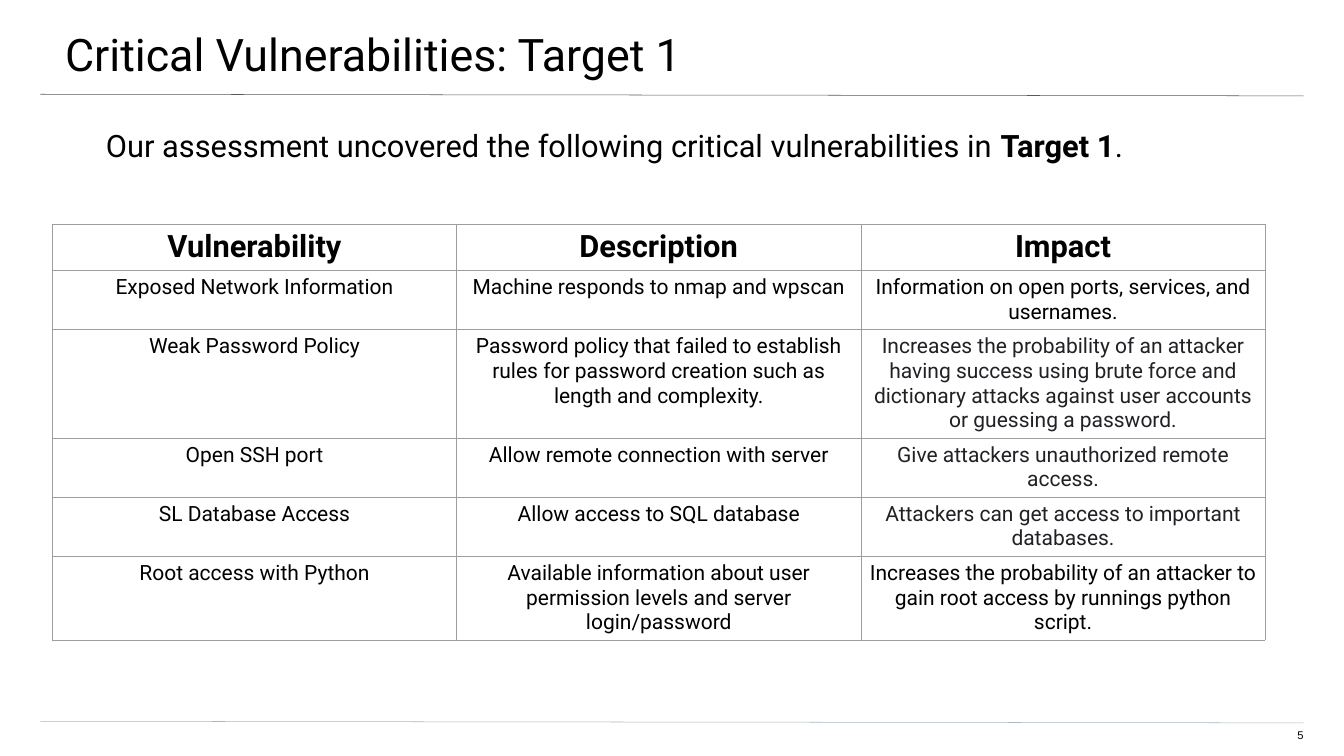
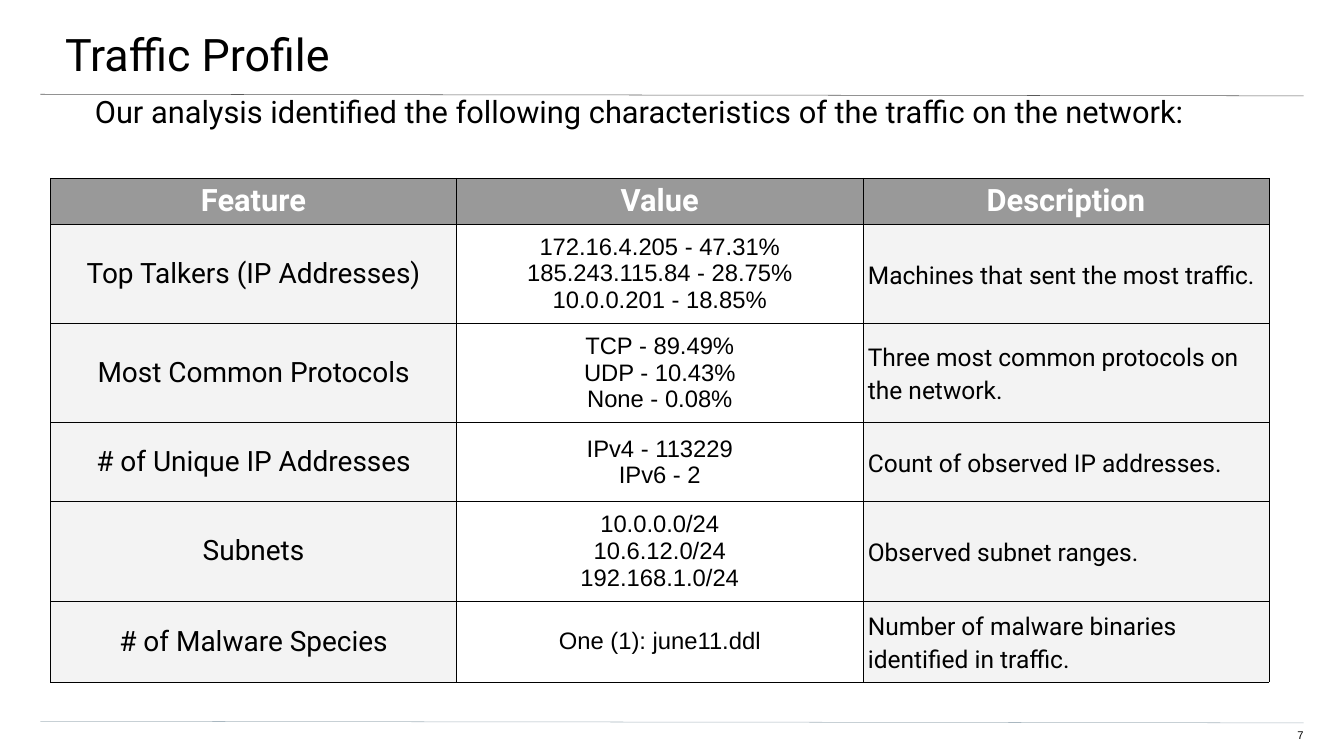
from dataclasses import dataclass, field, replace
from typing import Optional

import pptx
import pptx.dml.color
import pptx.enum.shapes
import pptx.enum.text
import pptx.oxml
import pptx.oxml.ns
import pptx.util
from pptx.util import Cm

ALIGN = pptx.enum.text.PP_ALIGN
ANCHOR = pptx.enum.text.MSO_ANCHOR
BLACK, WHITE, CHARCOAL = "000000", "FFFFFF", "202124"
HEADER_GREY, PALE_GREY, BORDER_GREY = "999999", "F3F3F3", "9E9E9E"
TITLE_RULE, FOOTER_RULE = "595959", "A9B7C0"
MAIN_FONT, PLAIN_FONT = "Roboto", "Arial"
RULE_WIDTH = 0.75


@dataclass(frozen=True)
class TextStyle:
    size: float
    font: str = MAIN_FONT
    color: str = BLACK
    bold: bool = False
    align: ALIGN = ALIGN.LEFT
    line_spacing: float = 1.0
    space_after: float = 0


@dataclass(frozen=True)
class CellStyle:
    text: TextStyle
    fill: Optional[str] = None
    anchor: ANCHOR = ANCHOR.TOP


@dataclass(frozen=True)
class Rule:
    top: float
    color: str


@dataclass(frozen=True)
class TableSpec:
    """Lengths are in centimetres; special maps (row, column) to a cell style."""
    left: float
    top: float
    column_width: float
    row_heights: list[float]
    border: str
    header: CellStyle
    columns: list[CellStyle]
    rows: list[list[str]]
    special: dict[tuple[int, int], CellStyle] = field(default_factory=dict)


@dataclass(frozen=True)
class PageSpec:
    title: str
    number: str
    intro: list[tuple[str, bool]]
    intro_box: tuple[float, float, float, float]
    intro_style: TextStyle
    table: TableSpec


RULES = [Rule(4.75, TITLE_RULE), Rule(36.35, FOOTER_RULE)]
TITLE_STYLE = TextStyle(64)
INTRO_STYLE = TextStyle(44)
NUMBER_STYLE = TextStyle(16, PLAIN_FONT, align=ALIGN.RIGHT)
HEADING = TextStyle(44, bold=True, align=ALIGN.CENTER)

FINDING = CellStyle(TextStyle(30, align=ALIGN.CENTER))
DARK_FINDING = replace(FINDING, text=replace(FINDING.text, color=CHARCOAL))
VULNERABILITIES = TableSpec(
    2.64, 11.3, 20.37, [1.07] * 6, BORDER_GREY, CellStyle(HEADING), [FINDING] * 3,
    [
        ["Vulnerability", "Description", "Impact"],
        ["Exposed Network Information", "Machine responds to nmap and wpscan",
         "Information on open ports, services, and usernames."],
        ["Weak Password Policy",
         "Password policy that failed to establish rules for password creation "
         "such as length and complexity.",
         "Increases the probability of an attacker having success using brute force "
         "and dictionary attacks against user accounts or guessing a password."],
        ["Open SSH port", "Allow remote connection with server",
         "Give attackers unauthorized remote access."],
        ["SL Database Access", "Allow access to SQL database",
         "Attackers can get access to important databases."],
        ["Root access with Python",
         "Available information about user permission levels and server login/password",
         "Increases the probability of an attacker to gain root access by runnings "
         "python script."],
    ],
    {(row, 2): DARK_FINDING for row in (2, 3, 4)},
)

TRAFFIC = TableSpec(
    2.54, 8.97, 20.47, [2.26, 5, 5, 3.99, 5, 4.09], BLACK,
    CellStyle(replace(HEADING, color=WHITE), HEADER_GREY, ANCHOR.MIDDLE),
    [
        CellStyle(TextStyle(40, align=ALIGN.CENTER), PALE_GREY, ANCHOR.MIDDLE),
        CellStyle(TextStyle(34, PLAIN_FONT, align=ALIGN.CENTER), None, ANCHOR.MIDDLE),
        CellStyle(TextStyle(35, line_spacing=1.15, space_after=10), PALE_GREY, ANCHOR.MIDDLE),
    ],
    [
        ["Feature", "Value", "Description"],
        ["Top Talkers (IP Addresses)",
         "172.16.4.205 - 47.31%\n185.243.115.84 - 28.75%\n10.0.0.201 - 18.85%",
         "Machines that sent the most traffic."],
        ["Most Common Protocols", "TCP - 89.49%\nUDP - 10.43%\nNone - 0.08%",
         "Three most common protocols on the network."],
        ["# of Unique IP Addresses", "IPv4 - 113229\nIPv6 - 2",
         "Count of observed IP addresses."],
        ["Subnets", "10.0.0.0/24\n10.6.12.0/24\n192.168.1.0/24",
         "Observed subnet ranges."],
        ["# of Malware Species", "One (1): june11.ddl",
         "Number of malware binaries identified in traffic."],
    ],
)

PAGES = [
    PageSpec(
        "Critical Vulnerabilities: Target 1", "5",
        [("Our assessment uncovered the following critical vulnerabilities in ", False),
         ("Target 1", True), (".", False)],
        (1.96, 6.38, 63.73, 27.41), INTRO_STYLE, VULNERABILITIES,
    ),
    PageSpec(
        "Traffic Profile", "7",
        [("Our analysis identified the following characteristics of the traffic "
          "on the network:", False)],
        (1.4, 5.44, 63.73, 5.28), replace(INTRO_STYLE, space_after=12), TRAFFIC,
    ),
]


def rgb(color: str) -> pptx.dml.color.RGBColor:
    return pptx.dml.color.RGBColor.from_string(color)


def add_element(parent, tag: str, **attributes: str):
    element = pptx.oxml.parse_xml(f"<{tag} {pptx.oxml.ns.nsdecls('a')}/>")
    for name, value in attributes.items():
        element.set(name, value)
    parent.append(element)
    return element


def format_paragraph(para, style: TextStyle) -> None:
    para.alignment = style.align
    para.line_spacing = style.line_spacing
    para.space_before = pptx.util.Pt(0)
    para.space_after = pptx.util.Pt(style.space_after)


def add_run(para, text: str, style: TextStyle) -> None:
    span = para.add_run()
    span.text = text
    span.font.name = style.font
    span.font.size = pptx.util.Pt(style.size)
    span.font.bold = style.bold
    span.font.color.rgb = rgb(style.color)


def fill_box(box, place: tuple[float, ...], margins: tuple[float, ...],
             spans: list[tuple[str, bool]], style: TextStyle) -> None:
    """Place a text shape, set its margins and write one paragraph in it."""
    box.left, box.top, box.width, box.height = (Cm(length) for length in place)
    frame = box.text_frame
    frame.word_wrap = True
    frame.auto_size = pptx.enum.text.MSO_AUTO_SIZE.NONE
    frame.vertical_anchor = ANCHOR.TOP
    (frame.margin_left, frame.margin_top,
     frame.margin_right, frame.margin_bottom) = (Cm(length) for length in margins)
    para = frame.paragraphs[0]
    format_paragraph(para, style)
    for text, bold in spans:
        add_run(para, text, replace(style, bold=bold))


def remove_bullet(para) -> None:
    properties = para._p.get_or_add_pPr()
    properties.set("marL", "0")
    properties.set("indent", "0")
    add_element(properties, "a:buNone")


def add_rule(page, rule: Rule) -> None:
    line = page.shapes.add_connector(
        pptx.enum.shapes.MSO_CONNECTOR.STRAIGHT,
        Cm(2.03), Cm(rule.top), Cm(65.68), Cm(rule.top + 0.08))
    line.line.color.rgb = rgb(rule.color)
    line.line.width = pptx.util.Pt(RULE_WIDTH)
    add_element(line._element.spPr, "a:effectLst")


def add_borders(cell, color: str) -> None:
    properties = cell._tc.get_or_add_tcPr()
    for side in ("a:lnL", "a:lnR", "a:lnT", "a:lnB"):
        border = add_element(properties, side, w=str(pptx.util.Pt(RULE_WIDTH)))
        add_element(add_element(border, "a:solidFill"), "a:srgbClr", val=color)


def fill_cell(cell, text: str, style: CellStyle, border: str) -> None:
    add_borders(cell, border)
    if style.fill:
        cell.fill.solid()
        cell.fill.fore_color.rgb = rgb(style.fill)
    else:
        cell.fill.background()
    cell.margin_left = cell.margin_right = Cm(0.25)
    cell.margin_top = cell.margin_bottom = Cm(0.25)
    cell.vertical_anchor = style.anchor
    for index, line in enumerate(text.split("\n")):
        frame = cell.text_frame
        para = frame.add_paragraph() if index else frame.paragraphs[0]
        format_paragraph(para, style.text)
        add_run(para, line, style.text)


def add_grid(page, spec: TableSpec) -> None:
    grid = page.shapes.add_table(
        len(spec.rows), len(spec.columns), Cm(spec.left), Cm(spec.top),
        Cm(spec.column_width * len(spec.columns)), Cm(sum(spec.row_heights))).table
    grid.first_row = grid.horz_banding = False
    for column in grid.columns:
        column.width = Cm(spec.column_width)
    for row, texts in enumerate(spec.rows):
        grid.rows[row].height = Cm(spec.row_heights[row])
        for column, text in enumerate(texts):
            usual = spec.columns[column] if row else spec.header
            style = spec.special.get((row, column), usual)
            fill_cell(grid.cell(row, column), text, style, spec.border)


def add_page(deck, spec: PageSpec) -> None:
    page = deck.slides.add_slide(deck.slide_layouts[1])
    for rule in RULES:
        add_rule(page, rule)
    fill_box(page.shapes.title, (-0.1, 0, 67.89, 3.96), (3.38, 1.35, 2.03, 0.69),
             [(spec.title, False)], TITLE_STYLE)
    number = page.shapes.add_textbox(0, 0, 0, 0)
    fill_box(number, (63.75, 36.73, 1.93, 0.79), (0, 0, 0, 0.69),
             [(spec.number, False)], NUMBER_STYLE)
    body = page.placeholders[1]
    fill_box(body, spec.intro_box, (3.38, 0, 3.38, 6.78), spec.intro, spec.intro_style)
    remove_bullet(body.text_frame.paragraphs[0])
    add_grid(page, spec.table)


def main() -> None:
    deck = pptx.Presentation()
    deck.slide_width, deck.slide_height = Cm(67.72), Cm(38.1)
    for spec in PAGES:
        add_page(deck, spec)
    deck.save("out.pptx")


if __name__ == "__main__":
    main()
